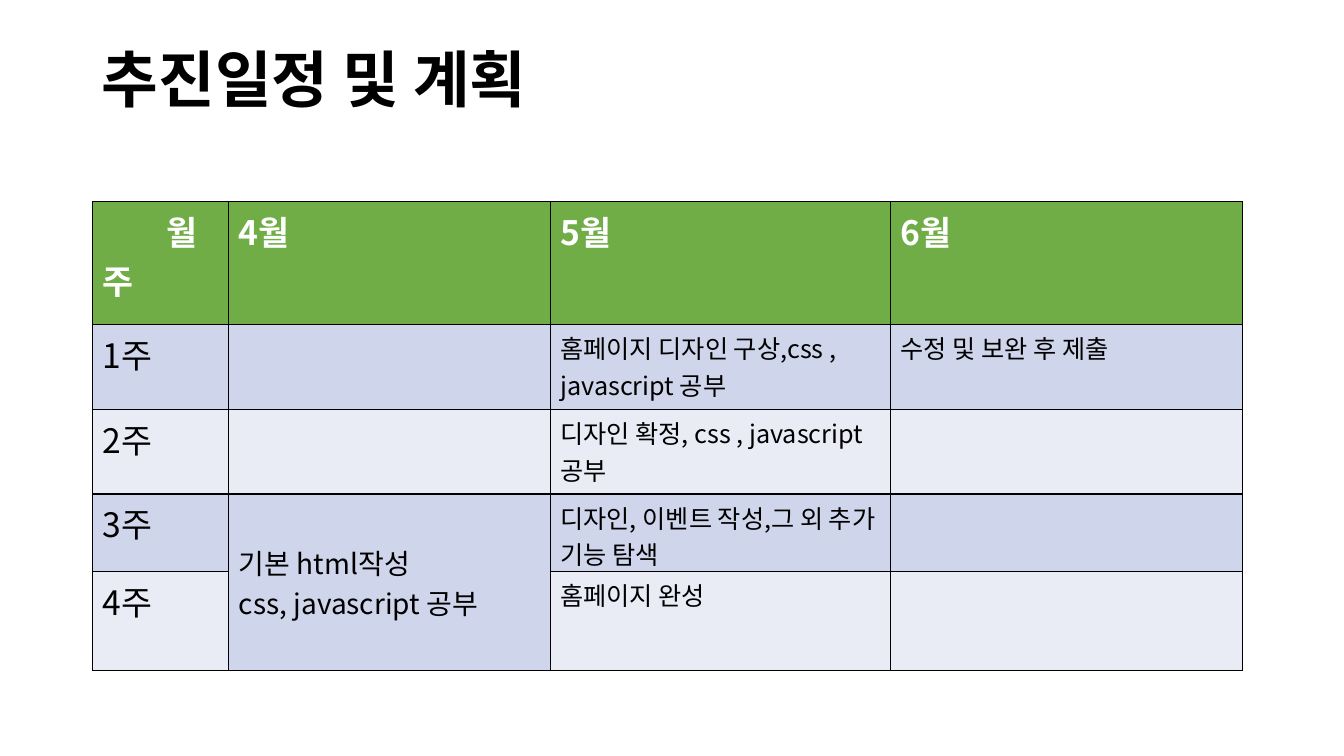
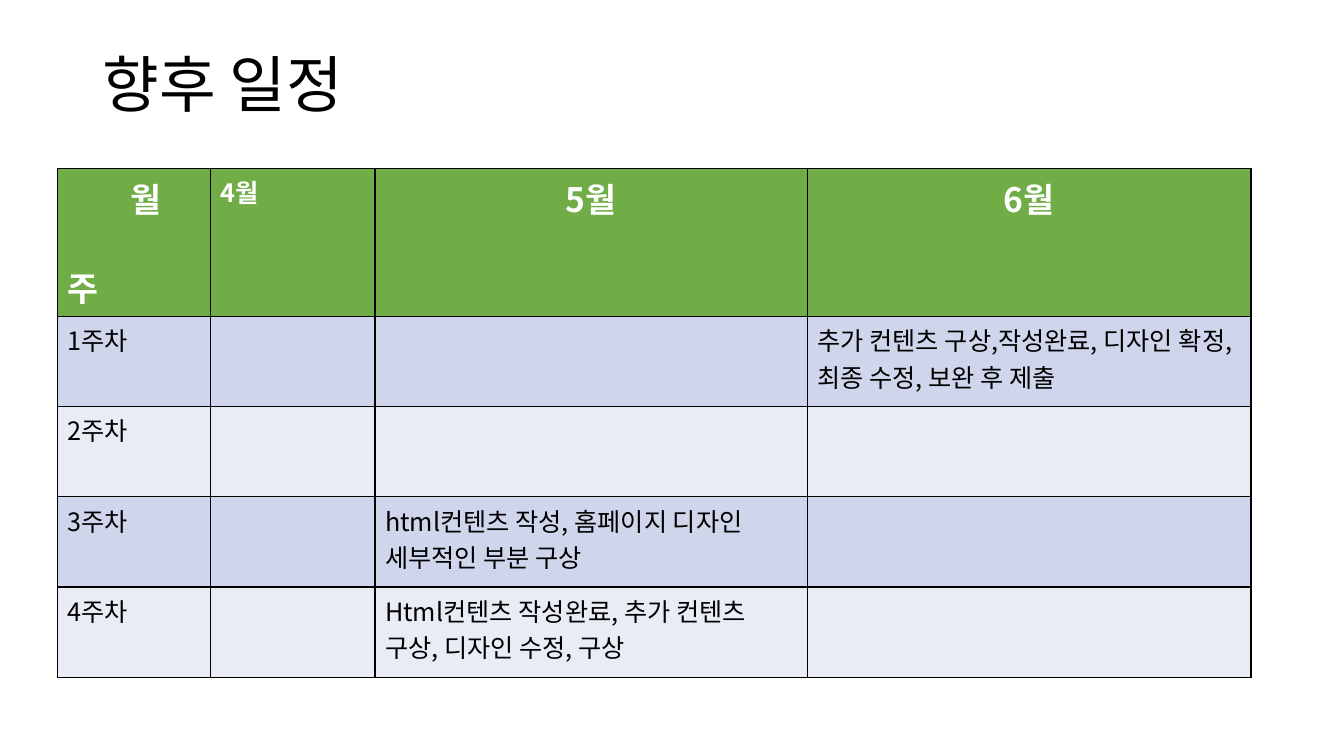
import dataclasses

import lxml.etree
import pptx
import pptx.dml.color
import pptx.enum.text
import pptx.oxml.ns
import pptx.util

FONT = "Noto Sans CJK KR"
BLACK = pptx.dml.color.RGBColor(0x00, 0x00, 0x00)
WHITE = pptx.dml.color.RGBColor(0xFF, 0xFF, 0xFF)
HEADER_GREEN = pptx.dml.color.RGBColor(0x70, 0xAD, 0x47)
BAND_COLORS = (
    pptx.dml.color.RGBColor(0xCF, 0xD5, 0xEA),
    pptx.dml.color.RGBColor(0xE9, 0xEB, 0xF5),
)
SLIDE_WIDTH = pptx.util.Inches(13.333)
SLIDE_HEIGHT = pptx.util.Inches(7.5)
TITLE_SIZE = 44
LARGE = 24
MEDIUM = 20
SMALL = 18
BORDER_POINTS = 1
CORNER_INDENT = 4.7
LEFT = pptx.enum.text.PP_ALIGN.LEFT
CENTER = pptx.enum.text.PP_ALIGN.CENTER
TOP = pptx.enum.text.MSO_ANCHOR.TOP
MIDDLE = pptx.enum.text.MSO_ANCHOR.MIDDLE


@dataclasses.dataclass
class Entry:
    text: str
    size: int = SMALL
    alignment: int = LEFT
    anchor: int = TOP


def across(percent):
    return round(SLIDE_WIDTH * percent / 100)


def down(percent):
    return round(SLIDE_HEIGHT * percent / 100)


def style_paragraph(paragraph, size, color, bold):
    font = paragraph.font
    font.name = FONT
    font.size = pptx.util.Pt(size)
    font.bold = bold
    font.color.rgb = color
    properties = paragraph._p.get_or_add_pPr().find(pptx.oxml.ns.qn("a:defRPr"))
    east_asian = lxml.etree.SubElement(properties, pptx.oxml.ns.qn("a:ea"))
    east_asian.set("typeface", FONT)


def add_title(slide, text, box, bold=False, anchor=TOP, line_spacing=1.0):
    left, top, width, height = box
    title = slide.shapes.add_textbox(across(left), down(top), across(width), down(height))
    frame = title.text_frame
    frame.word_wrap = True
    frame.vertical_anchor = anchor
    paragraph = frame.paragraphs[0]
    paragraph.text = text
    paragraph.line_spacing = line_spacing
    style_paragraph(paragraph, TITLE_SIZE, BLACK, bold)


def add_borders(cell):
    properties = cell._tc.get_or_add_tcPr()
    for index, side in enumerate(("lnL", "lnR", "lnT", "lnB")):
        line = lxml.etree.Element(pptx.oxml.ns.qn(f"a:{side}"))
        line.set("w", str(pptx.util.Pt(BORDER_POINTS)))
        fill = lxml.etree.SubElement(line, pptx.oxml.ns.qn("a:solidFill"))
        color = lxml.etree.SubElement(fill, pptx.oxml.ns.qn("a:srgbClr"))
        color.set("val", str(BLACK))
        properties.insert(index, line)


def fill_cell(cell, entry, is_header):
    cell.vertical_anchor = entry.anchor
    cell.text = entry.text
    for paragraph in cell.text_frame.paragraphs:
        paragraph.alignment = entry.alignment
        style_paragraph(paragraph, entry.size, WHITE if is_header else BLACK, is_header)


def style_corner(cell, gap):
    month, week = cell.text_frame.paragraphs
    month._p.get_or_add_pPr().set("marL", str(across(CORNER_INDENT)))
    week.space_before = pptx.util.Pt(gap)


def add_schedule(slide, left, top, columns, rows, entries, corner_gap=0):
    frame = slide.shapes.add_table(
        len(rows), len(columns), across(left), down(top), across(sum(columns)), down(sum(rows))
    )
    table = frame.table
    for column, width in zip(table.columns, columns):
        column.width = across(width)
    for row, height in zip(table.rows, rows):
        row.height = down(height)
    for row_index in range(len(rows)):
        is_header = row_index == 0
        color = HEADER_GREEN if is_header else BAND_COLORS[(row_index - 1) % 2]
        for column_index in range(len(columns)):
            cell = table.cell(row_index, column_index)
            cell.fill.solid()
            cell.fill.fore_color.rgb = color
            add_borders(cell)
            entry = entries.get((row_index, column_index))
            if entry:
                fill_cell(cell, entry, is_header)
    style_corner(table.cell(0, 0), corner_gap)
    return table


def week_labels(suffix, size):
    return {(week, 0): Entry(f"{week}{suffix}", size) for week in range(1, 5)}


def add_plan_slide(presentation):
    slide = presentation.slides.add_slide(presentation.slide_layouts[6])
    add_title(slide, "추진일정 및 계획", (6.83, 4.8, 48.83, 11.2), bold=True)
    entries = week_labels("주", LARGE) | {
        (0, 0): Entry("월\n주", LARGE),
        (0, 1): Entry("4월", LARGE),
        (0, 2): Entry("5월", LARGE),
        (0, 3): Entry("6월", LARGE),
        (1, 2): Entry("홈페이지 디자인 구상,css , javascript 공부"),
        (1, 3): Entry("수정 및 보완 후 제출"),
        (2, 2): Entry("디자인 확정, css , javascript 공부"),
        (3, 1): Entry("기본 html작성\ncss, javascript 공부", MEDIUM, anchor=MIDDLE),
        (3, 2): Entry("디자인, 이벤트 작성,그 외 추가 기능 탐색"),
        (4, 2): Entry("홈페이지 완성"),
    }
    columns = (10.13, 23.92, 25.3, 26.18)
    rows = (16.27, 11.2, 11.2, 10.27, 13.07)
    table = add_schedule(slide, 6.9, 26.67, columns, rows, entries)
    table.cell(3, 1).merge(table.cell(4, 1))


def add_upcoming_slide(presentation):
    slide = presentation.slides.add_slide(presentation.slide_layouts[6])
    add_title(slide, "향후 일정", (6.9, 5.33, 86.25, 12.53), anchor=MIDDLE, line_spacing=0.9)
    entries = week_labels("주차", SMALL) | {
        (0, 0): Entry("월\n주", LARGE),
        (0, 1): Entry("4월"),
        (0, 2): Entry("5월", LARGE, CENTER),
        (0, 3): Entry("6월", LARGE, CENTER),
        (1, 3): Entry("추가 컨텐츠 구상,작성완료, 디자인 확정, 최종 수정, 보완 후 제출"),
        (3, 2): Entry("html컨텐츠 작성, 홈페이지 디자인 세부적인 부분 구상"),
        (4, 2): Entry("Html컨텐츠 작성완료, 추가 컨텐츠 구상, 디자인 수정, 구상"),
    }
    columns = (11.4, 12.23, 32.18, 33)
    rows = (19.6,) + (11.93,) * 4
    add_schedule(slide, 4.28, 22.27, columns, rows, entries, corner_gap=29)


def main():
    presentation = pptx.Presentation()
    presentation.slide_width = SLIDE_WIDTH
    presentation.slide_height = SLIDE_HEIGHT
    add_plan_slide(presentation)
    add_upcoming_slide(presentation)
    presentation.save("out.pptx")


if __name__ == "__main__":
    main()
